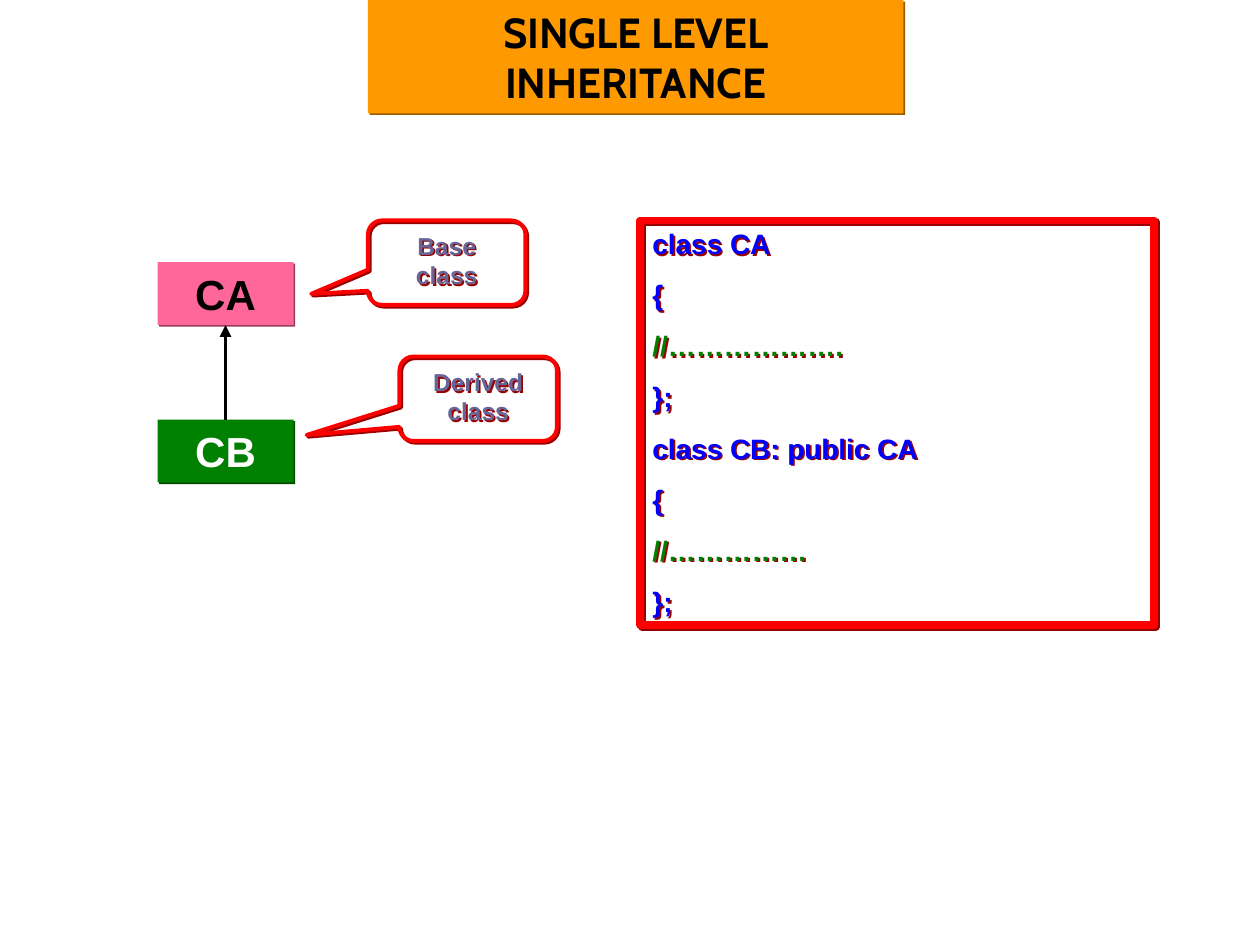
from lxml.etree import SubElement
from pptx import Presentation
from pptx.dml.color import RGBColor
from pptx.enum.shapes import MSO_CONNECTOR, MSO_SHAPE
from pptx.enum.text import MSO_ANCHOR, PP_ALIGN
from pptx.oxml.ns import qn
from pptx.util import Inches, Pt

COLORS = {
    "black": "000000", "white": "FFFFFF", "orange": "FF9900", "orange_shadow": "995C00",
    "pink": "FF6699", "pink_shadow": "993D5C", "green": "008000", "green_shadow": "004D00",
    "red": "FF0000", "red_shadow": "990000", "blue": "0000FF", "slate": "666699",
}
CODE_LINES = ["class CA", "{", "//……………….", "};",
              "class CB: public CA", "{", "//……………", "};"]


def rgb(name):
    return RGBColor.from_string(COLORS[name])


def add_box(slide, kind, box, shadow, fill=None, line=None, line_width=0):
    """Add a shape with a hard shadow, falling to the lower right."""
    shape = slide.shapes.add_shape(kind, *(Inches(length) for length in box))
    if fill:
        shape.fill.solid()
        shape.fill.fore_color.rgb = rgb(fill)
    else:
        shape.fill.background()
    if line:
        shape.line.color.rgb = rgb(line)
        shape.line.width = Pt(line_width)
    else:
        shape.line.fill.background()
    shape.shadow.inherit = False
    effects = shape._element.spPr.find(qn("a:effectLst"))
    outer = SubElement(effects, qn("a:outerShdw"), blurRad="0", dist=str(Pt(1.4)),
                       dir="2700000", algn="ctr", rotWithShape="0")
    SubElement(outer, qn("a:srgbClr"), val=COLORS[shadow])
    return shape


def write_text(shape, lines, size, color, font="Arial", align=PP_ALIGN.CENTER,
               anchor=MSO_ANCHOR.TOP, wrap=True):
    text_frame = shape.text_frame
    text_frame.text = "\n".join(lines)
    text_frame.word_wrap = wrap
    text_frame.vertical_anchor = anchor
    for paragraph in text_frame.paragraphs:
        paragraph.alignment = align
        for run in paragraph.runs:
            run.font.name = font
            run.font.size = Pt(size)
            run.font.bold = True
            run.font.color.rgb = rgb(color)


def add_title(slide, box):
    title = add_box(slide, MSO_SHAPE.RECTANGLE, box, "orange_shadow", "orange")
    write_text(title, ["SINGLE LEVEL INHERITANCE"], 24, "black", font="Cabin")


def add_code_panel(slide, box):
    panel = add_box(slide, MSO_SHAPE.RECTANGLE, box, "red_shadow", line="red", line_width=4.5)
    write_text(panel, CODE_LINES, 16, "blue", align=PP_ALIGN.LEFT)
    for index, paragraph in enumerate(panel.text_frame.paragraphs):
        if index:
            paragraph.space_before = Pt(10)
        if paragraph.text.startswith("//"):
            paragraph.runs[0].font.color.rgb = rgb("green")


def add_class_box(slide, box, name, fill, color):
    class_box = add_box(slide, MSO_SHAPE.RECTANGLE, box, f"{fill}_shadow", fill)
    write_text(class_box, [name], 24, color, anchor=MSO_ANCHOR.MIDDLE, wrap=False)
    return class_box


def add_callout(slide, box, lines, pointer):
    callout = add_box(slide, MSO_SHAPE.ROUNDED_RECTANGULAR_CALLOUT, box, "red_shadow",
                      line="red", line_width=2.25)
    callout.adjustments[0], callout.adjustments[1] = pointer
    write_text(callout, lines, 14, "slate")


def add_inheritance_arrow(slide, derived, base):
    arrow = slide.shapes.add_connector(MSO_CONNECTOR.STRAIGHT, 0, 0, 0, 0)
    arrow.begin_connect(derived, 0)
    arrow.end_connect(base, 2)
    arrow.line.color.rgb = rgb("black")
    arrow.line.width = Pt(2.25)
    SubElement(arrow.line._get_or_add_ln(), qn("a:tailEnd"), type="triangle")
    SubElement(arrow._element.spPr, qn("a:effectLst"))


def add_class_diagram(slide, left, top):
    base = add_class_box(slide, (left, top + 0.33, 1.08, 0.5), "CA", "pink", "black")
    derived = add_class_box(slide, (left, top + 1.58, 1.08, 0.5), "CB", "green", "white")
    add_inheritance_arrow(slide, derived, base)
    add_callout(slide, (left + 1.67, top, 1.25, 0.67), ["Base", "class"], (-0.86, 0.37))
    add_callout(slide, (left + 1.92, top + 1.08, 1.25, 0.67), ["Derived", "class"],
                (-1.09, 0.43))


def main():
    presentation = Presentation()
    presentation.slide_width = Inches(10)
    presentation.slide_height = Inches(7.5)
    slide = presentation.slides.add_slide(presentation.slide_layouts[6])
    add_title(slide, (2.92, 0, 4.25, 0.9))
    add_class_diagram(slide, 1.25, 1.75)
    add_code_panel(slide, (5.08, 1.75, 4.08, 3.21))
    presentation.save("out.pptx")


if __name__ == "__main__":
    main()
